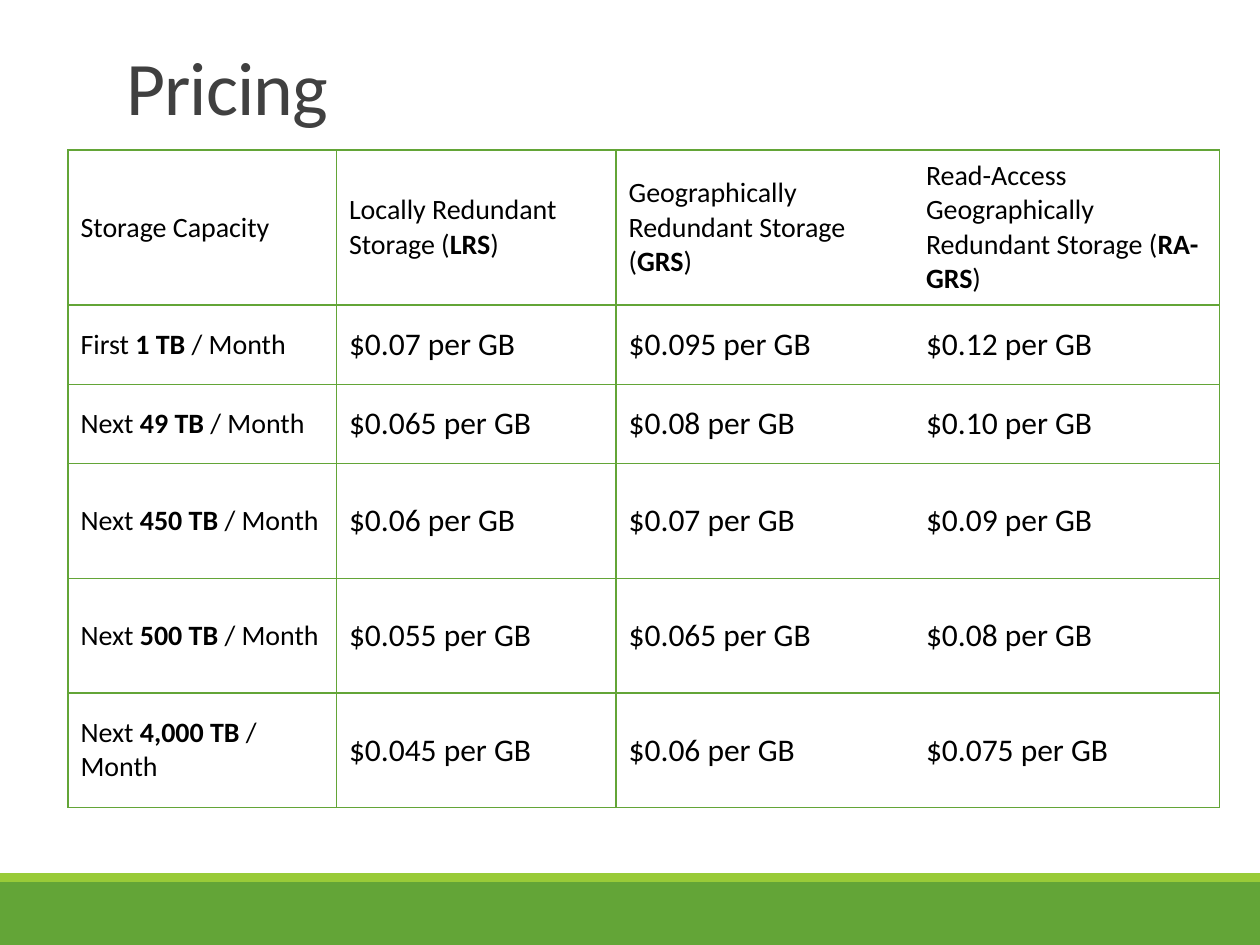
from dataclasses import dataclass

from lxml import etree
from pptx import Presentation
from pptx.dml.color import RGBColor
from pptx.enum.shapes import MSO_SHAPE as Shape
from pptx.enum.text import MSO_ANCHOR as Anchor, MSO_AUTO_SIZE as AutoSize, PP_ALIGN as Align
from pptx.oxml.ns import qn
from pptx.util import Inches, Pt


@dataclass(frozen=True)
class Theme:
    font: str = "Calibri"
    green: str = "63A537"
    lime: str = "99CB38"
    title_ink: str = "404040"
    ink: str = "000000"
    paper: str = "FFFFFF"
    title_size: float = 43.2
    label_size: float = 16
    price_size: float = 18
    border_width: float = 1


def write(frame, text, *, font, size, color, spacing=None, line_spacing=None):
    """Fill a text frame; parts between ** marks are bold."""
    para = frame.paragraphs[0]
    para.alignment = Align.LEFT
    if line_spacing:
        para.line_spacing = line_spacing
    for index, part in enumerate(text.split("**")):
        if not part:
            continue
        span = para.add_run()
        span.text = part
        span.font.name = font
        span.font.size = Pt(size)
        span.font.bold = index % 2 == 1
        span.font.color.rgb = RGBColor.from_string(color)
        if spacing is not None:
            span.font._element.set("spc", str(int(spacing * 100)))


class SlideBuilder:
    def __init__(self, page, theme):
        self.page = page
        self.theme = theme

    def bar(self, left, top, width, height, color):
        box = self.page.shapes.add_shape(
            Shape.RECTANGLE, Inches(left), Inches(top), Inches(width), Inches(height))
        box.shadow.inherit = False
        box.fill.solid()
        box.fill.fore_color.rgb = RGBColor.from_string(color)
        box.line.fill.background()

    def title(self, text, left, top, width, height):
        theme = self.theme
        box = self.page.shapes.title
        box.left, box.top = Inches(left), Inches(top)
        box.width, box.height = Inches(width), Inches(height)
        frame = box.text_frame
        frame.auto_size = AutoSize.NONE
        frame.vertical_anchor = Anchor.BOTTOM
        write(frame, text, font=theme.font, size=theme.title_size,
              color=theme.title_ink, spacing=-0.5, line_spacing=0.85)

    def borders(self, cell, hidden):
        props = cell._tc.get_or_add_tcPr()
        for position, side in enumerate("LRTB"):
            line = etree.Element(qn(f"a:ln{side}"), w=str(Pt(self.theme.border_width)))
            if side in hidden:
                etree.SubElement(line, qn("a:noFill"))
            else:
                fill = etree.SubElement(line, qn("a:solidFill"))
                etree.SubElement(fill, qn("a:srgbClr"), val=self.theme.green)
            props.insert(position, line)

    def table(self, rows, left, top, widths, heights, open_edge):
        """Draw a grid without the rule to the right of column open_edge."""
        theme = self.theme
        table = self.page.shapes.add_table(
            len(rows), len(widths), Inches(left), Inches(top),
            Inches(sum(widths)), Inches(sum(heights))).table
        table.first_row = table.horz_banding = False
        for column, width in zip(table.columns, widths):
            column.width = Inches(width)
        for row, height in zip(table.rows, heights):
            row.height = Inches(height)
        hidden = {open_edge: "R", open_edge + 1: "L"}
        for r, values in enumerate(rows):
            for c, text in enumerate(values):
                cell = table.cell(r, c)
                cell.vertical_anchor = Anchor.MIDDLE
                cell.fill.solid()
                cell.fill.fore_color.rgb = RGBColor.from_string(theme.paper)
                is_label = r == 0 or c == 0
                write(cell.text_frame, text, font=theme.font, color=theme.ink,
                      size=theme.label_size if is_label else theme.price_size)
                self.borders(cell, hidden.get(c, ""))


# Content
HEADER = ["Storage Capacity",
          "Locally Redundant Storage (**LRS**)",
          "Geographically Redundant Storage (**GRS**)",
          "Read-Access Geographically Redundant Storage (**RA-GRS**)"]
TIERS = [("First", "1", "0.07", "0.095", "0.12"),
         ("Next", "49", "0.065", "0.08", "0.10"),
         ("Next", "450", "0.06", "0.07", "0.09"),
         ("Next", "500", "0.055", "0.065", "0.08"),
         ("Next", "4,000", "0.045", "0.06", "0.075")]
rows = [HEADER] + [
    [f"{order} **{amount} TB **/ Month", *(f"${price} per GB" for price in prices)]
    for order, amount, *prices in TIERS]

# Slide
deck = Presentation()
deck.slide_width, deck.slide_height = Inches(10), Inches(7.5)
theme = Theme()
slide = SlideBuilder(deck.slides.add_slide(deck.slide_layouts[5]), theme)

# Footer bars
slide.bar(0, 7, 10, 0.5, theme.green)
slide.bar(0, 6.93, 10, 0.07, theme.lime)

# Title and price table
slide.title("Pricing", 0.9, 0.31, 8.25, 0.78)
slide.table(rows, 0.54, 1.19, widths=[2.13, 2.22, 2.36, 2.43],
            heights=[1.23] + [0.63] * 2 + [0.91] * 3, open_edge=2)

deck.save("out.pptx")
